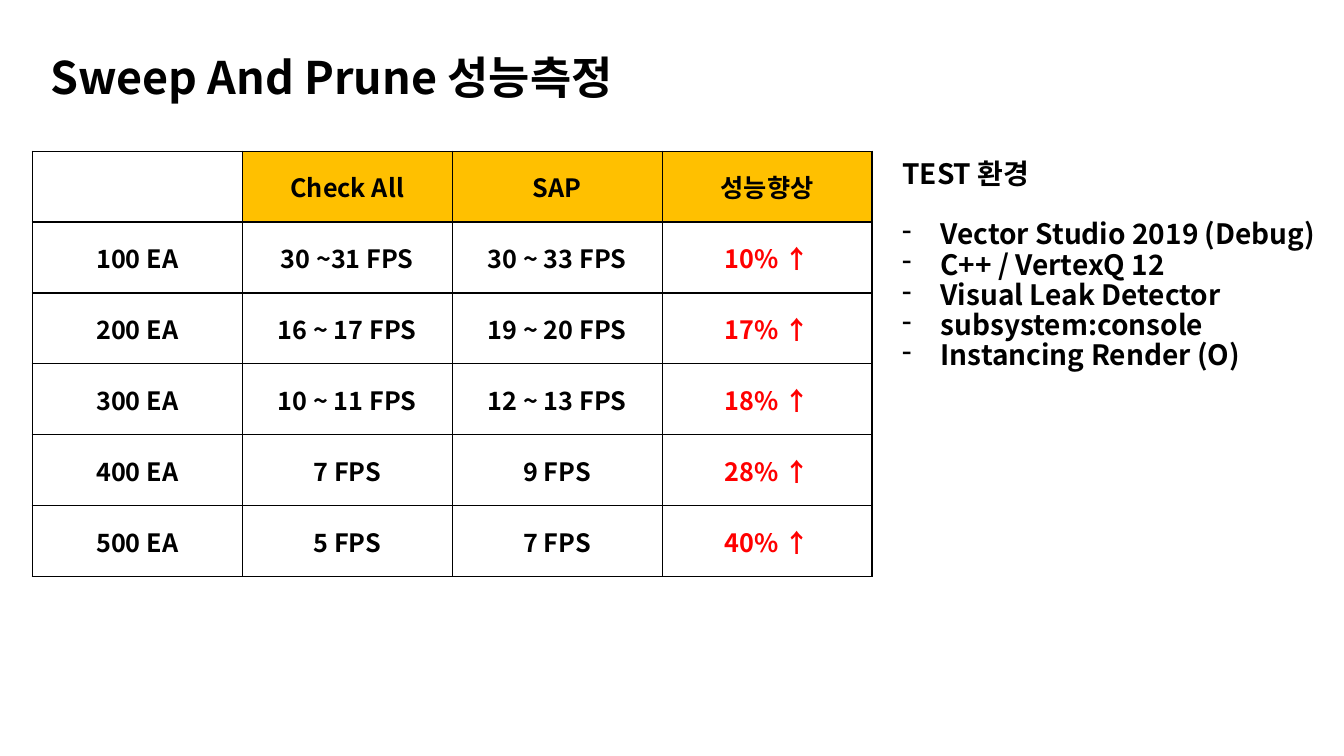
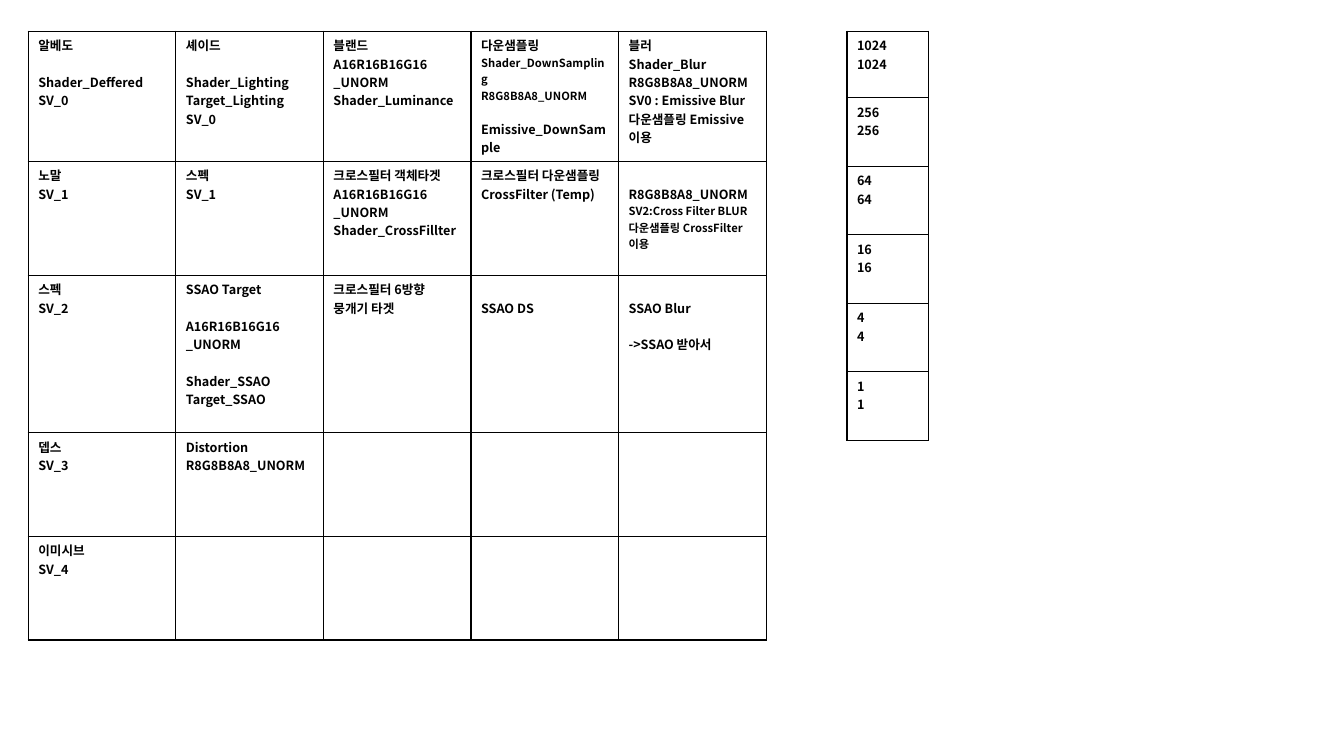
from dataclasses import dataclass

from lxml.etree import SubElement
from pptx import Presentation
from pptx.dml.color import RGBColor
from pptx.enum.text import MSO_ANCHOR as Anchor, PP_ALIGN as Align
from pptx.oxml.ns import qn
from pptx.slide import Slide
from pptx.table import Table, _Cell as Cell
from pptx.text.text import TextFrame, _Paragraph as Paragraph
from pptx.util import Inches, Pt

FONT = "Noto Sans CJK KR"
BLACK = RGBColor(0x00, 0x00, 0x00)
WHITE = RGBColor(0xFF, 0xFF, 0xFF)
RED = RGBColor(0xFF, 0x00, 0x00)
AMBER = RGBColor(0xFF, 0xC0, 0x00)
BORDER_WIDTH = Pt(1)
LINE_FACTOR = 1.45
LINE_SPACING = 0.9


@dataclass(frozen=True)
class Line:
    text: str
    size: int = 9
    gap: int = 0


@dataclass(frozen=True)
class Grid:
    left: float
    top: float
    width: float
    row_heights: tuple[float, ...]
    column_count: int


PERFORMANCE_GRID = Grid(0.32, 1.5, 8.33, (4.22 / 6,) * 6, 4)
PERFORMANCE = (
    ("", "Check All", "SAP", "성능향상"),
    ("100 EA", "30 ~31 FPS", "30 ~ 33 FPS", "10% ↑"),
    ("200 EA", "16 ~ 17 FPS", "19 ~ 20 FPS", "17% ↑"),
    ("300 EA", "10 ~ 11 FPS", "12 ~ 13 FPS", "18% ↑"),
    ("400 EA", "7 FPS", "9 FPS", "28% ↑"),
    ("500 EA", "5 FPS", "7 FPS", "40% ↑"),
)
ENVIRONMENT = (
    "Vector Studio 2019 (Debug)",
    "C++ / VertexQ 12",
    "Visual Leak Detector",
    "subsystem:console",
    "Instancing Render (O)",
)

TARGET_GRID = Grid(0.28, 0.31, 7.32, (1.29, 1.13, 1.56, 1.03, 1.03), 5)
TARGETS = (
    (
        (Line("알베도"), Line("Shader_Deffered", gap=9), Line("SV_0")),
        (Line("셰이드"), Line("Shader_Lighting", gap=9), Line("Target_Lighting"), Line("SV_0")),
        (Line("블랜드"), Line("A16R16B16G16"), Line("_UNORM"), Line("Shader_Luminance")),
        (
            Line("다운샘플링"),
            Line("Shader_DownSampling", 8),
            Line("R8G8B8A8_UNORM", 8),
            Line("Emissive_DownSample", gap=8),
        ),
        (
            Line("블러"),
            Line("Shader_Blur"),
            Line("R8G8B8A8_UNORM"),
            Line("SV0 : Emissive Blur"),
            Line("다운샘플링 Emissive이용"),
        ),
    ),
    (
        (Line("노말"), Line("SV_1")),
        (Line("스펙"), Line("SV_1")),
        (Line("크로스필터 객체타겟"), Line("A16R16B16G16"), Line("_UNORM"), Line("Shader_CrossFillter")),
        (Line("크로스필터 다운샘플링"), Line("CrossFilter (Temp)")),
        (
            Line("R8G8B8A8_UNORM", gap=9),
            Line("SV2:Cross Filter BLUR", 8),
            Line("다운샘플링 CrossFilter이용", 8),
        ),
    ),
    (
        (Line("스펙"), Line("SV_2")),
        (
            Line("SSAO Target"),
            Line("A16R16B16G16", gap=9),
            Line("_UNORM"),
            Line("Shader_SSAO", gap=9),
            Line("Target_SSAO"),
        ),
        (Line("크로스필터 6방향 뭉개기 타겟"),),
        (Line("SSAO DS", gap=9),),
        (Line("SSAO Blur", gap=9), Line("->SSAO 받아서", gap=9)),
    ),
    (
        (Line("뎁스"), Line("SV_3")),
        (Line("Distortion"), Line("R8G8B8A8_UNORM")),
        (), (), (),
    ),
    ((Line("이미시브"), Line("SV_4")), (), (), (), ()),
)

MIP_GRID = Grid(8.4, 0.31, 0.81, (0.66,) + (0.68,) * 5, 1)
MIP_SIZES = tuple(4 ** power for power in range(5, -1, -1))


def style_paragraph(paragraph: Paragraph, size: int, color: RGBColor = BLACK) -> None:
    font = paragraph.font
    font.size = Pt(size)
    font.bold = True
    font.color.rgb = color
    font.name = FONT
    properties = paragraph._p.pPr.find(qn("a:defRPr"))
    SubElement(properties, qn("a:ea")).set("typeface", FONT)


def add_bullet(paragraph: Paragraph) -> None:
    properties = paragraph._p.get_or_add_pPr()
    indent = Inches(0.38)
    properties.set("marL", str(indent))
    properties.set("indent", str(-indent))
    SubElement(properties, qn("a:buFontTx"))
    SubElement(properties, qn("a:buChar")).set("char", "-")


def next_paragraph(frame: TextFrame, index: int) -> Paragraph:
    return frame.add_paragraph() if index else frame.paragraphs[0]


def add_text_frame(slide: Slide, left: float, top: float, width: float, height: float) -> TextFrame:
    frame = slide.shapes.add_textbox(Inches(left), Inches(top), Inches(width), Inches(height)).text_frame
    frame.word_wrap = True
    return frame


def style_cell(cell: Cell, fill: RGBColor) -> None:
    properties = cell._tc.get_or_add_tcPr()
    for side in ("lnL", "lnR", "lnT", "lnB"):
        border = SubElement(properties, qn(f"a:{side}"), w=str(BORDER_WIDTH))
        solid = SubElement(border, qn("a:solidFill"))
        SubElement(solid, qn("a:srgbClr")).set("val", str(BLACK))
    cell.fill.solid()
    cell.fill.fore_color.rgb = fill


def add_grid(slide: Slide, grid: Grid) -> Table:
    table = slide.shapes.add_table(
        len(grid.row_heights),
        grid.column_count,
        Inches(grid.left),
        Inches(grid.top),
        Inches(grid.width),
        Inches(sum(grid.row_heights)),
    ).table
    table.first_row = False
    table.horz_banding = False
    for column in table.columns:
        column.width = Inches(grid.width / grid.column_count)
    for row, height in zip(table.rows, grid.row_heights):
        row.height = Inches(height)
    return table


def write_lines(cell: Cell, lines: tuple[Line, ...]) -> None:
    for index, line in enumerate(lines):
        paragraph = next_paragraph(cell.text_frame, index)
        paragraph.text = line.text
        gap = Pt(line.gap * LINE_FACTOR)
        if index:
            paragraph.space_before = gap
        else:
            cell.margin_top = Inches(0.05) + gap
        style_paragraph(paragraph, line.size)


def add_line_table(slide: Slide, grid: Grid, rows: tuple[tuple[tuple[Line, ...], ...], ...]) -> None:
    table = add_grid(slide, grid)
    for row_index, row in enumerate(rows):
        for column_index, lines in enumerate(row):
            cell = table.cell(row_index, column_index)
            style_cell(cell, WHITE)
            write_lines(cell, lines)


def add_title(slide: Slide, text: str) -> None:
    frame = add_text_frame(slide, 0.32, 0.2, 5.94, 1.19)
    frame.vertical_anchor = Anchor.MIDDLE
    paragraph = frame.paragraphs[0]
    paragraph.text = text
    paragraph.alignment = Align.CENTER
    paragraph.line_spacing = LINE_SPACING
    style_paragraph(paragraph, 32)


def add_performance_table(slide: Slide) -> None:
    table = add_grid(slide, PERFORMANCE_GRID)
    for row_index, row in enumerate(PERFORMANCE):
        for column_index, text in enumerate(row):
            cell = table.cell(row_index, column_index)
            is_header = row_index == 0
            style_cell(cell, AMBER if is_header and text else WHITE)
            cell.vertical_anchor = Anchor.MIDDLE
            if text:
                is_gain = column_index == 3 and not is_header
                paragraph = cell.text_frame.paragraphs[0]
                paragraph.text = text
                paragraph.alignment = Align.CENTER
                style_paragraph(paragraph, 18, RED if is_gain else BLACK)


def add_environment(slide: Slide) -> None:
    frame = add_text_frame(slide, 8.85, 1.39, 4.49, 3.17)
    frame.margin_top = Inches(0.2)
    for index, text in enumerate(("TEST 환경", *ENVIRONMENT)):
        paragraph = next_paragraph(frame, index)
        paragraph.text = text
        paragraph.line_spacing = LINE_SPACING
        if index == 1:
            paragraph.space_before = Pt(21.5)
        if index:
            add_bullet(paragraph)
        style_paragraph(paragraph, 20)


def main() -> None:
    presentation = Presentation()
    presentation.slide_width = Inches(13.33)
    presentation.slide_height = Inches(7.5)
    blank = presentation.slide_layouts[6]

    performance_slide = presentation.slides.add_slide(blank)
    add_title(performance_slide, "Sweep And Prune 성능측정")
    add_performance_table(performance_slide)
    add_environment(performance_slide)

    target_slide = presentation.slides.add_slide(blank)
    add_line_table(target_slide, TARGET_GRID, TARGETS)
    mip_rows = tuple(((Line(str(size)),) * 2,) for size in MIP_SIZES)
    add_line_table(target_slide, MIP_GRID, mip_rows)

    presentation.save("out.pptx")


if __name__ == "__main__":
    main()
